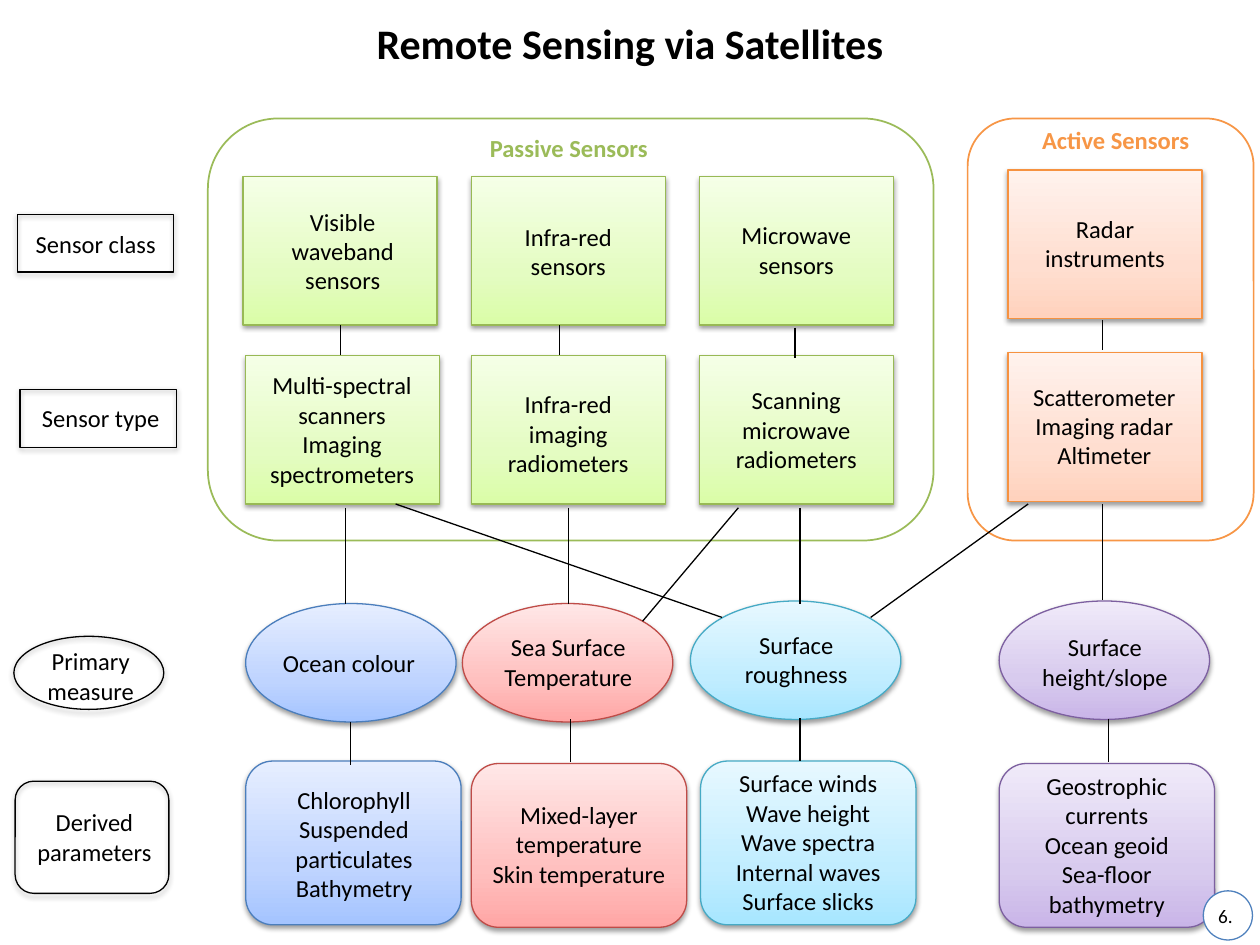
from copy import deepcopy

from lxml.etree import SubElement
from pptx import Presentation
from pptx.dml.color import RGBColor
from pptx.enum.shapes import MSO_CONNECTOR as LINK, MSO_SHAPE as SHAPE
from pptx.enum.text import MSO_ANCHOR as ANCHOR, MSO_AUTO_SIZE as FIT, PP_ALIGN as ALIGN
from pptx.oxml.ns import qn
from pptx.util import Inches, Pt

BLACK = "000000"
# Each palette: line colour, then the gradient from bottom to top
GREEN = ("98B955", "DAFDA7", "E4FCC2", "F5FFE7")
ORANGE = ("F69240", "FFD2BD", "FFDED0", "FFF2ED")
BLUE = ("4B7EBC", "A4C4FF", "BFD4FF", "E6EEFF")
RED = ("BF4C48", "FFA6A5", "FFC0BF", "FFE7E7")
CYAN = ("46AAC5", "A7E6FF", "C1EDFF", "E7F8FF")
PURPLE = ("7D60A0", "C9B5E8", "D8CBEE", "F0EAF9")
OUTLINE = (BLACK,)


def rgb(value):
    return RGBColor.from_string(value)


def inches(*values):
    return [Inches(value) for value in values]


def write(frame, text, size=14, color=BLACK, bold=False, align=ALIGN.CENTER, font="Calibri"):
    """Fill a text frame, one paragraph for each line of text."""
    for number, line in enumerate(text.split("\n")):
        paragraph = frame.add_paragraph() if number else frame.paragraphs[0]
        paragraph.alignment = align
        run = paragraph.add_run()
        run.text = line
        run.font.name = font
        run.font.size = Pt(size)
        run.font.bold = bold
        run.font.color.rgb = rgb(color)


class Diagram:
    line_width = 0.75
    stop_positions = (0, 0.35, 1)

    def __init__(self, slide):
        self.slide = slide

    def title(self, text, *box):
        title = self.slide.shapes.title
        title.left, title.top, title.width, title.height = inches(*box)
        title.text_frame.vertical_anchor = ANCHOR.MIDDLE
        write(title.text_frame, text, size=24, bold=True)

    def outline(self, kind, box, color, width=line_width, fill=None):
        shape = self.slide.shapes.add_shape(kind, *inches(*box))
        shape.shadow.inherit = False
        if fill:
            shape.fill.solid()
            shape.fill.fore_color.rgb = rgb(fill)
        else:
            shape.fill.background()
        shape.line.color.rgb = rgb(color)
        shape.line.width = Pt(width)
        return shape

    def node(self, kind, box, palette):
        """Shape with a soft shadow and, if the palette has one, a gradient."""
        line, *gradient = palette
        shape = self.outline(kind, box, line)
        if gradient:
            self.shade(shape, gradient)
        effects = shape._element.spPr.find(qn("a:effectLst"))
        shadow = SubElement(effects, qn("a:outerShdw"), blurRad=str(Pt(3.1)),
                            dist=str(Pt(1.6)), dir="5400000", rotWithShape="0")
        tint = SubElement(shadow, qn("a:srgbClr"), val=BLACK)
        SubElement(tint, qn("a:alpha"), val="38000")

    def shade(self, shape, colors):
        shape.fill.gradient()
        shape.fill.gradient_angle = 90
        stops = shape._element.spPr.find(".//" + qn("a:gsLst"))
        stops.append(deepcopy(stops[0]))
        for stop, position, color in zip(shape.fill.gradient_stops, self.stop_positions, colors):
            stop.position = position
            stop.color.rgb = rgb(color)

    def label(self, text, left, top, width, lines=1, height=None, **style):
        height = height or round(0.1 + 0.235 * lines, 2)
        frame = self.slide.shapes.add_textbox(*inches(left, top, width, height)).text_frame
        frame.word_wrap = True
        frame.auto_size = FIT.SHAPE_TO_FIT_TEXT
        write(frame, text, **style)

    def link(self, *ends):
        line = self.slide.shapes.add_connector(LINK.STRAIGHT, *inches(*ends))
        line.line.color.rgb = rgb(BLACK)
        line.line.width = Pt(self.line_width)
        SubElement(line._element.spPr, qn("a:effectLst"))


# Rows: shape, size, then (left, top, palette, text, label left, top, width, lines)
ROWS = [
    (SHAPE.RECTANGLE, (1.54, 1.18), [
        (1.93, 1.4, GREEN, "Visible waveband sensors", 2.08, 1.59, 1.28, 3),
        (3.74, 1.4, GREEN, "Infra-red sensors", 3.87, 1.71, 1.28, 2),
        (5.55, 1.4, GREEN, "Microwave sensors", 5.68, 1.7, 1.28, 2),
        (8, 1.35, ORANGE, "Radar instruments", 8.13, 1.65, 1.28, 2),
        (1.95, 2.82, GREEN, "Multi-spectral scanners\nImaging spectrometers", 2.01, 2.89, 1.41, 4),
        (3.74, 2.82, GREEN, "Infra-red imaging radiometers", 3.87, 3.04, 1.28, 3),
        (5.55, 2.82, GREEN, "Scanning microwave radiometers", 5.68, 3.01, 1.28, 3),
        (8, 2.8, ORANGE, "Scatterometer\nImaging radar\nAltimeter", 8, 2.98, 1.53, 3),
    ]),
    (SHAPE.OVAL, (1.67, 0.94), [
        (1.95, 4.79, BLUE, "Ocean colour", 2.13, 5.09, 1.28, 1),
        (3.67, 4.79, RED, "Sea Surface Temperature", 3.87, 4.97, 1.28, 2),
        (5.48, 4.77, CYAN, "Surface roughness", 5.68, 4.95, 1.28, 2),
        (7.93, 4.77, PURPLE, "Surface height/slope", 8.13, 4.97, 1.28, 2),
    ]),
    (SHAPE.ROUNDED_RECTANGLE, (1.71, 1.3), [
        (1.95, 6.04, BLUE, "Chlorophyll\nSuspended particulates\nBathymetry", 1.95, 6.18, 1.72, 4),
        (3.74, 6.06, RED, "Mixed-layer temperature\nSkin temperature", 3.75, 6.3, 1.69, 3),
        (5.56, 6.04, CYAN, "Surface winds\nWave height\nWave spectra\nInternal waves\nSurface slicks",
         5.68, 6.05, 1.47, 5),
        (7.93, 6.06, PURPLE, "Geostrophic currents\nOcean geoid\nSea-floor bathymetry",
         7.93, 6.07, 1.71, 5),
    ]),
    # Row headings
    (SHAPE.RECTANGLE, (1.24, 0.46), [
        (0.14, 1.7, OUTLINE, "Sensor class", 0.12, 1.77, 1.28, 1),
        (0.16, 3.09, OUTLINE, "Sensor type", 0.16, 3.15, 1.28, 1),
    ]),
    (SHAPE.OVAL, (1.19, 0.58), [
        (0.11, 5.05, OUTLINE, "Primary measure", 0.08, 5.08, 1.28, 2),
    ]),
    (SHAPE.ROUNDED_RECTANGLE, (1.22, 0.89), [
        (0.12, 6.2, OUTLINE, "Derived parameters", 0.13, 6.36, 1.24, 2),
    ]),
]

# Vertical links: length, then the (x, top) of each
VERTICAL_LINKS = [
    (0.24, [(2.7, 2.58), (4.44, 2.58), (6.31, 2.6), (8.75, 2.54)]),
    (0.76, [(2.74, 4.03), (4.51, 4.03), (6.35, 4.03), (8.75, 4)]),
    (0.34, [(2.78, 5.73), (4.53, 5.71), (6.35, 5.7), (8.8, 5.71)]),
]
CROSS_LINKS = [(3.14, 4, 5.73, 4.9), (5.86, 4.03, 5.1, 4.93), (8.16, 4, 6.91, 4.9)]

# Sensor groups: name, colour, frame, label place
GROUPS = [
    ("Passive Sensors", "9BBB59", (1.65, 0.94, 5.76, 3.35), (3.53, 1.01, 1.97)),
    ("Active Sensors", "F79646", (7.68, 0.94, 2.27, 3.35), (7.76, 0.94, 2.19)),
]


def main():
    deck = Presentation()
    deck.slide_width, deck.slide_height = inches(10, 7.5)
    diagram = Diagram(deck.slides.add_slide(deck.slide_layouts[5]))
    diagram.title("Remote Sensing via Satellites", 0, 0, 10, 0.68)

    for name, color, frame, place in GROUPS:
        diagram.outline(SHAPE.ROUNDED_RECTANGLE, frame, color, width=1)
        diagram.label(name, *place, color=color, bold=True)
    for kind, size, nodes in ROWS:
        for left, top, palette, text, *place in nodes:
            diagram.node(kind, (left, top, *size), palette)
            diagram.label(text, *place)
    for length, starts in VERTICAL_LINKS:
        for x, top in starts:
            diagram.link(x, top, x, top + length)
    for ends in CROSS_LINKS:
        diagram.link(*ends)

    diagram.outline(SHAPE.OVAL, (9.55, 7.07, 0.39, 0.39), "4F81BD", fill="FFFFFF")
    diagram.label("6.", 9.57, 7.13, 0.51, height=0.29, size=11, align=ALIGN.LEFT)
    deck.save("out.pptx")


if __name__ == "__main__":
    main()
